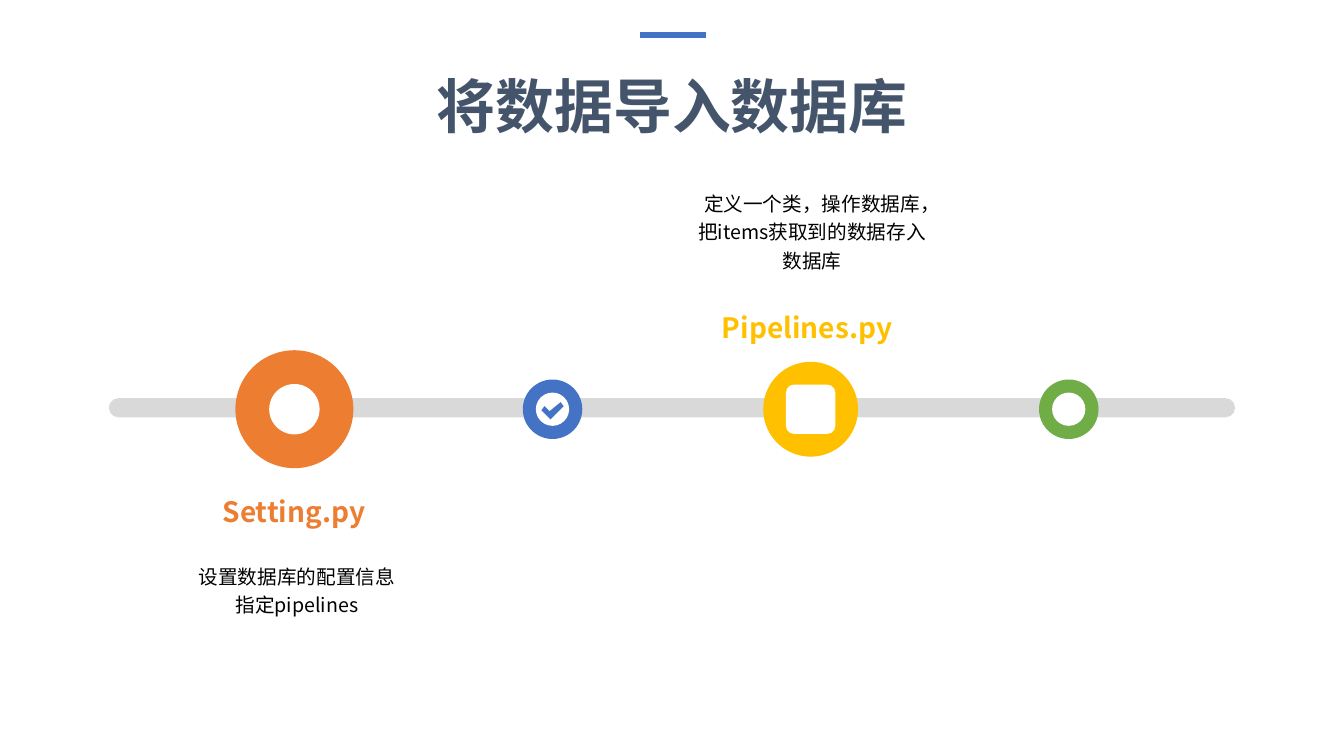
import pptx
import pptx.util
import pptx.dml.color
import pptx.enum.shapes
import pptx.enum.text
import lxml.etree

Inches = pptx.util.Inches
Pt = pptx.util.Pt
RGB = pptx.dml.color.RGBColor
SHAPE = pptx.enum.shapes.MSO_SHAPE
ANCHOR = pptx.enum.text.MSO_ANCHOR
CENTER = pptx.enum.text.PP_ALIGN.CENTER

ORANGE = RGB(0xED, 0x7D, 0x31)
BLUE = RGB(0x44, 0x72, 0xC4)
GOLD = RGB(0xFF, 0xC0, 0x00)
GREEN = RGB(0x70, 0xAD, 0x47)
GRAY = RGB(0xD9, 0xD9, 0xD9)
SLATE = RGB(0x44, 0x54, 0x6A)
WHITE = RGB(0xFF, 0xFF, 0xFF)
BLACK = RGB(0, 0, 0)
FONT = "Noto Sans CJK SC"

# Content
TITLE = "将数据导入数据库"
# disc colour, disc size, inner mark, mark size
STOPS = [
    (ORANGE, 1.17, SHAPE.OVAL, 0.5),
    (BLUE, 0.59, SHAPE.OVAL, 0.33),
    (GOLD, 0.94, SHAPE.ROUNDED_RECTANGLE, 0.49),
    (GREEN, 0.59, SHAPE.OVAL, 0.33),
]
# heading, colour, box, body lines, body box
NOTES = [
    ("Setting.py", ORANGE, (1.99, 4.92, 1.85, 0.3),
     ["设置数据库的配置信息", "指定pipelines"], (1.79, 5.37, 2.31, 0.94)),
    ("Pipelines.py", GOLD, (7.08, 3.1, 1.85, 0.3),
     ["定义一个类，操作数据库，把items获取到的数据存入数据库"],
     (6.9, 1.81, 2.31, 0.94)),
]
TICK = [(-0.11, 0.01), (-0.08, -0.03), (-0.03, 0.02),
        (0.08, -0.07), (0.11, -0.03), (-0.02, 0.1)]
FIRST, STEP, MID = 2.92, 2.56, 4.06

deck = pptx.Presentation()
deck.slide_width, deck.slide_height = Inches(13.33), Inches(7.5)
slide = deck.slides.add_slide(deck.slide_layouts[5])
shapes = slide.shapes


def paint(shape, color):
    shape.shadow.inherit = False
    shape.fill.solid()
    shape.fill.fore_color.rgb = color
    shape.line.fill.background()


def solid(kind, box, color):
    shape = shapes.add_shape(kind, *map(Inches, box))
    paint(shape, color)
    return shape


def centred(kind, x, size, color):
    solid(kind, (x - size / 2, MID - size / 2, size, size), color)


def style(para, size, color, bold=False, font=FONT):
    para.alignment = CENTER
    para.font.name = font
    para.font.size = Pt(size)
    para.font.bold = bold
    para.font.color.rgb = color


def label(lines, box, size, color, bold=False, wrap=True, space=1.0):
    frame = shapes.add_textbox(*map(Inches, box)).text_frame
    frame.margin_left = frame.margin_right = 0
    frame.margin_top = frame.margin_bottom = 0
    frame.vertical_anchor = ANCHOR.MIDDLE
    frame.word_wrap = wrap
    frame.text = "\n".join(lines)
    for para in frame.paragraphs:
        style(para, size, color, bold)
        para.line_spacing = space


# Title with its accent line
title = shapes.title
title.left, title.top = Inches(4.21), Inches(0.64)
title.width, title.height = Inches(4.91), Inches(0.81)
title.text_frame.text = TITLE
title.text_frame.word_wrap = False
title.text_frame.vertical_anchor = ANCHOR.TOP
style(title.text_frame.paragraphs[0], 42, SLATE, True, "Lato")

accent = shapes.add_connector(pptx.enum.shapes.MSO_CONNECTOR.STRAIGHT,
                              Inches(6.35), Inches(0.35), Inches(7), Inches(0.35))
accent.line.color.rgb = BLUE
accent.line.width = Pt(4.5)
lxml.etree.SubElement(accent.element.spPr, pptx.oxml.ns.qn("a:effectLst"))

# Timeline bar and stops
bar = solid(SHAPE.ROUNDED_RECTANGLE, (1.08, 3.95, 11.17, 0.19), GRAY)
bar.adjustments[0] = 0.5
for i, (color, size, mark, inner) in enumerate(STOPS):
    x = FIRST + i * STEP
    centred(SHAPE.OVAL, x, size, color)
    centred(mark, x, inner, WHITE)

# Check mark on the second stop
points = [(Inches(FIRST + STEP + dx), Inches(MID + dy)) for dx, dy in TICK]
pen = shapes.build_freeform(*points[0])
pen.add_line_segments(points[1:])
paint(pen.convert_to_shape(), BLUE)

# Headings and notes
for head, color, spot, lines, box in NOTES:
    label([head], spot, 20, color, bold=True, wrap=False)
    label(lines, box, 14, BLACK, space=1.2)

deck.save("out.pptx")
